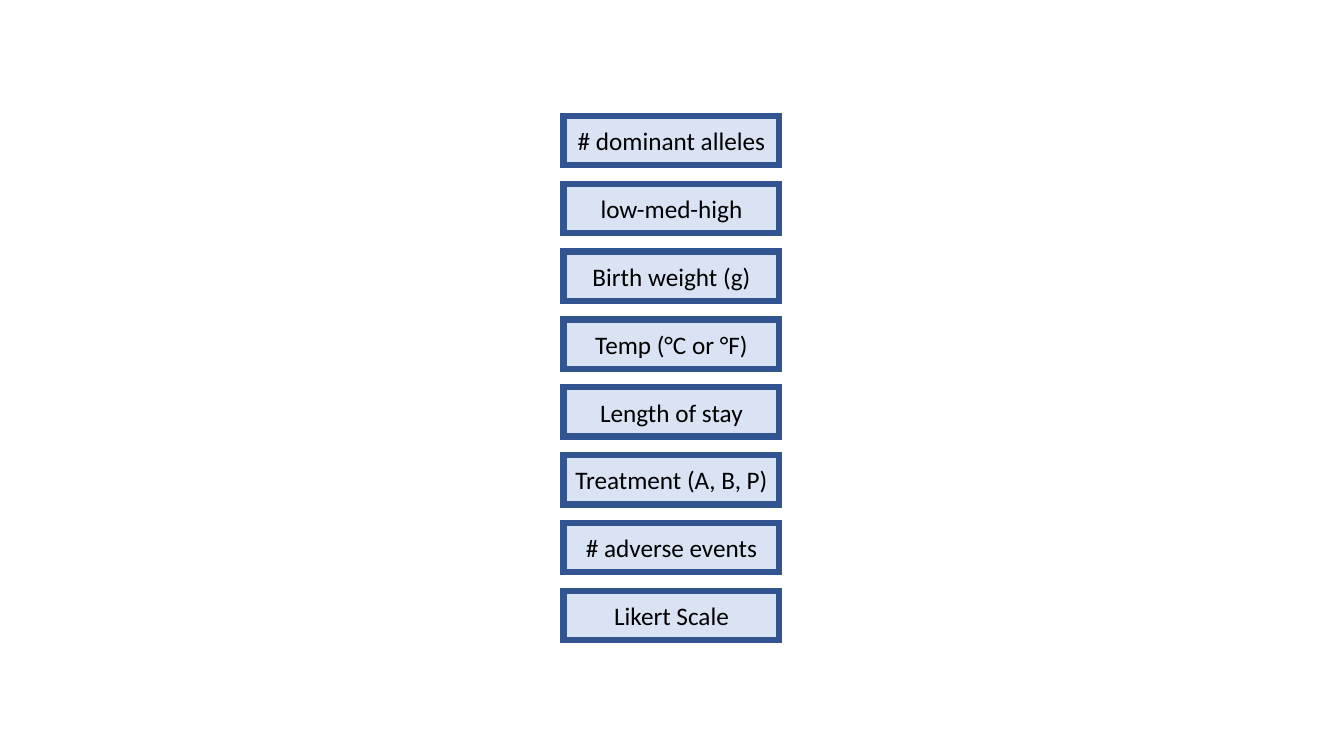
from pptx import Presentation
from pptx import util as u
from pptx.dml.color import RGBColor
from pptx.enum import shapes, text
from pptx.oxml import ns
from lxml import etree

PALE_BLUE = RGBColor(0xDA, 0xE3, 0xF3)
DARK_BLUE = RGBColor(0x32, 0x54, 0x91)
BLACK = RGBColor(0, 0, 0)

VARIABLES = [
    "# dominant alleles",
    "low-med-high",
    "Birth weight (g)",
    "Temp (°C or °F)",
    "Length of stay",
    "Treatment (A, B, P)",
    "# adverse events",
    "Likert Scale",
]


def write_text(frame, words, *, font="Calibri", size=18, color=BLACK,
               align=text.PP_ALIGN.CENTER, anchor=text.MSO_ANCHOR.MIDDLE):
    frame.word_wrap = True
    frame.margin_left = frame.margin_right = u.Inches(0.05)
    frame.vertical_anchor = anchor
    paragraph = frame.paragraphs[0]
    paragraph.alignment = align
    run = paragraph.add_run()
    run.text = words
    run.font.name = font
    run.font.size = u.Pt(size)
    run.font.color.rgb = color


class CardColumn:
    """A column of equally spaced cards."""

    left = u.Inches(5.59)
    width, height = u.Inches(2.14), u.Inches(0.49)
    first_top, last_top = u.Inches(1.15), u.Inches(5.86)
    border = u.Pt(4.5)

    def __init__(self, slide, row_count):
        self.slide = slide
        self.row_pitch = (self.last_top - self.first_top) / (row_count - 1)

    def card(self, row, words):
        top = round(self.first_top + row * self.row_pitch)
        shape = self.slide.shapes.add_shape(
            shapes.MSO_SHAPE.RECTANGLE, self.left, top, self.width, self.height)
        shape.shadow.inherit = False
        shape.fill.solid()
        shape.fill.fore_color.rgb = PALE_BLUE
        shape.line.color.rgb = DARK_BLUE
        shape.line.width = self.border
        # Square corners need a mitred line join.
        outline = shape.element.spPr.find(ns.qn("a:ln"))
        etree.SubElement(outline, ns.qn("a:miter"), lim="800000")
        write_text(shape.text_frame, words)


def main():
    presentation = Presentation()
    presentation.slide_width = u.Inches(13.33)
    presentation.slide_height = u.Inches(7.5)
    blank_layout = presentation.slide_layouts[6]
    slide = presentation.slides.add_slide(blank_layout)
    column = CardColumn(slide, len(VARIABLES))
    for row, variable in enumerate(VARIABLES):
        column.card(row, variable)
    presentation.save("out.pptx")


if __name__ == "__main__":
    main()
